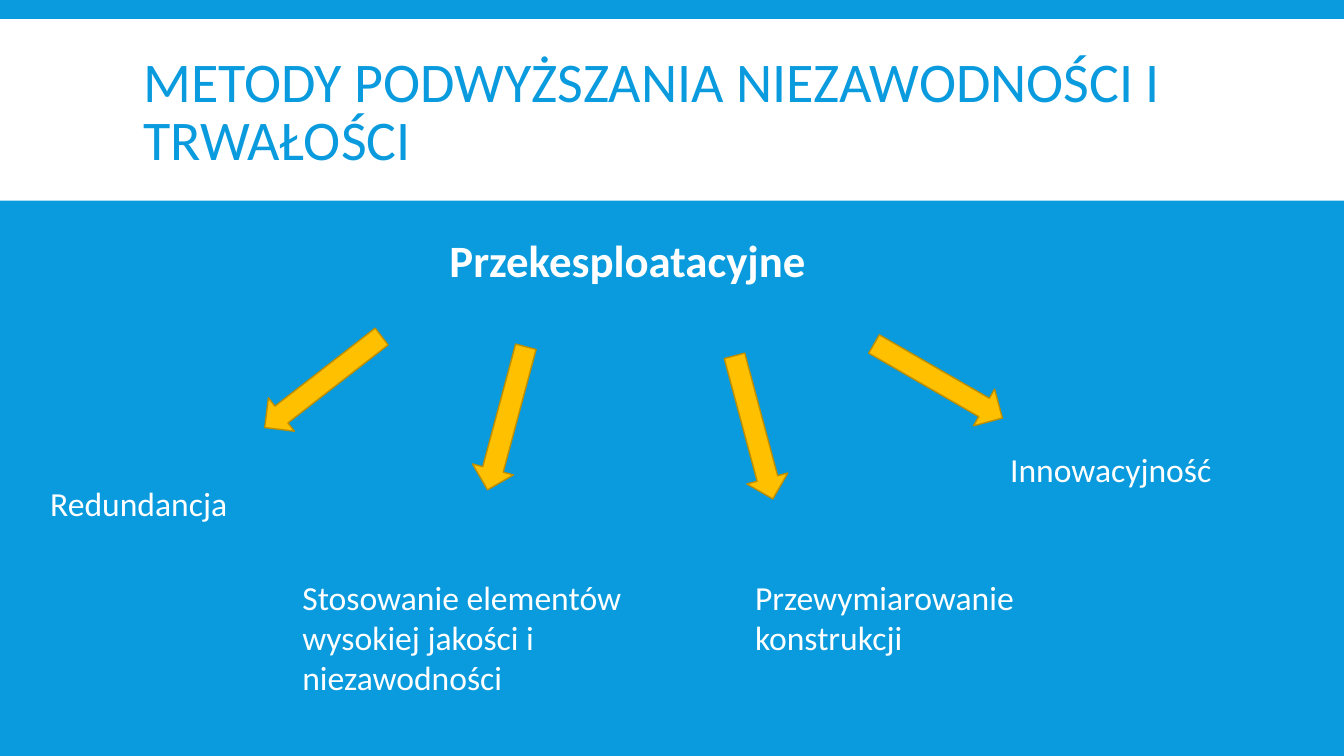
import pptx
import pptx.util
import pptx.dml.color
import pptx.enum.shapes
import pptx.enum.text

Inches = pptx.util.Inches
Pt = pptx.util.Pt
RGBColor = pptx.dml.color.RGBColor
MSO_SHAPE = pptx.enum.shapes.MSO_SHAPE
PP_ALIGN = pptx.enum.text.PP_ALIGN

BLUE = RGBColor(0x09, 0x9B, 0xDD)
WHITE = RGBColor(0xFF, 0xFF, 0xFF)
AMBER = RGBColor(0xFF, 0xC0, 0x00)
DARK_AMBER = RGBColor(0xBD, 0x8E, 0x00)


def write(sp, text, size, color, bold=False):
    tf = sp.text_frame
    tf.word_wrap = True
    tf.text = text
    p = tf.paragraphs[0]
    p.alignment = PP_ALIGN.LEFT
    font = p.runs[0].font
    font.name = "Calibri"
    font.size = Pt(size)
    font.bold = bold
    font.color.rgb = color


prs = pptx.Presentation()
prs.slide_width = Inches(13.33)
prs.slide_height = Inches(7.5)
s = prs.slides.add_slide(prs.slide_layouts[5])
s.background.fill.solid()
s.background.fill.fore_color.rgb = BLUE

band = s.shapes.add_shape(
    MSO_SHAPE.RECTANGLE, Inches(0), Inches(0.19), Inches(13.33), Inches(1.8))
band.shadow.inherit = False
band.fill.solid()
band.fill.fore_color.rgb = WHITE
band.line.fill.background()

title = s.shapes.title
band._element.getparent().remove(band._element)
title._element.addprevious(band._element)
title.left, title.top = Inches(1.32), Inches(0.31)
title.width, title.height = Inches(10.7), Inches(1.65)
write(title, "METODY PODWYŻSZANIA NIEZAWODNOŚCI I TRWAŁOŚCI", 40, BLUE)
title.text_frame.auto_size = pptx.enum.text.MSO_AUTO_SIZE.NONE
title.text_frame.vertical_anchor = pptx.enum.text.MSO_ANCHOR.MIDDLE
title.text_frame.paragraphs[0].line_spacing = 0.85

arrows = [
    (2.47, 3.58, 142.1),
    (8.57, 3.57, 30),
    (4.29, 3.94, 105),
    (6.74, 4.03, 75),
]
for left, top, angle in arrows:
    arrow = s.shapes.add_shape(
        MSO_SHAPE.RIGHT_ARROW, Inches(left), Inches(top), Inches(1.47), Inches(0.42))
    arrow.rotation = angle
    arrow.shadow.inherit = False
    arrow.fill.solid()
    arrow.fill.fore_color.rgb = AMBER
    arrow.line.color.rgb = DARK_AMBER
    arrow.line.width = Pt(1)

labels = [
    ("Przekesploatacyjne", 4.36, 2.26, 4.03, 0.64, 32, True),
    ("Redundancja", 0.4, 4.74, 3.04, 0.5, 24, False),
    ("Stosowanie elementów wysokiej jakości i niezawodności",
     2.9, 5.67, 3.61, 1.31, 24, False),
    ("Przewymiarowanie konstrukcji", 7.39, 5.67, 3.04, 0.91, 24, False),
    ("Innowacyjność", 9.92, 4.4, 3.04, 0.5, 24, False),
]
for text, left, top, width, height, size, bold in labels:
    label = s.shapes.add_textbox(
        Inches(left), Inches(top), Inches(width), Inches(height))
    write(label, text, size, WHITE, bold)
    label.text_frame.auto_size = pptx.enum.text.MSO_AUTO_SIZE.SHAPE_TO_FIT_TEXT

prs.save("out.pptx")
